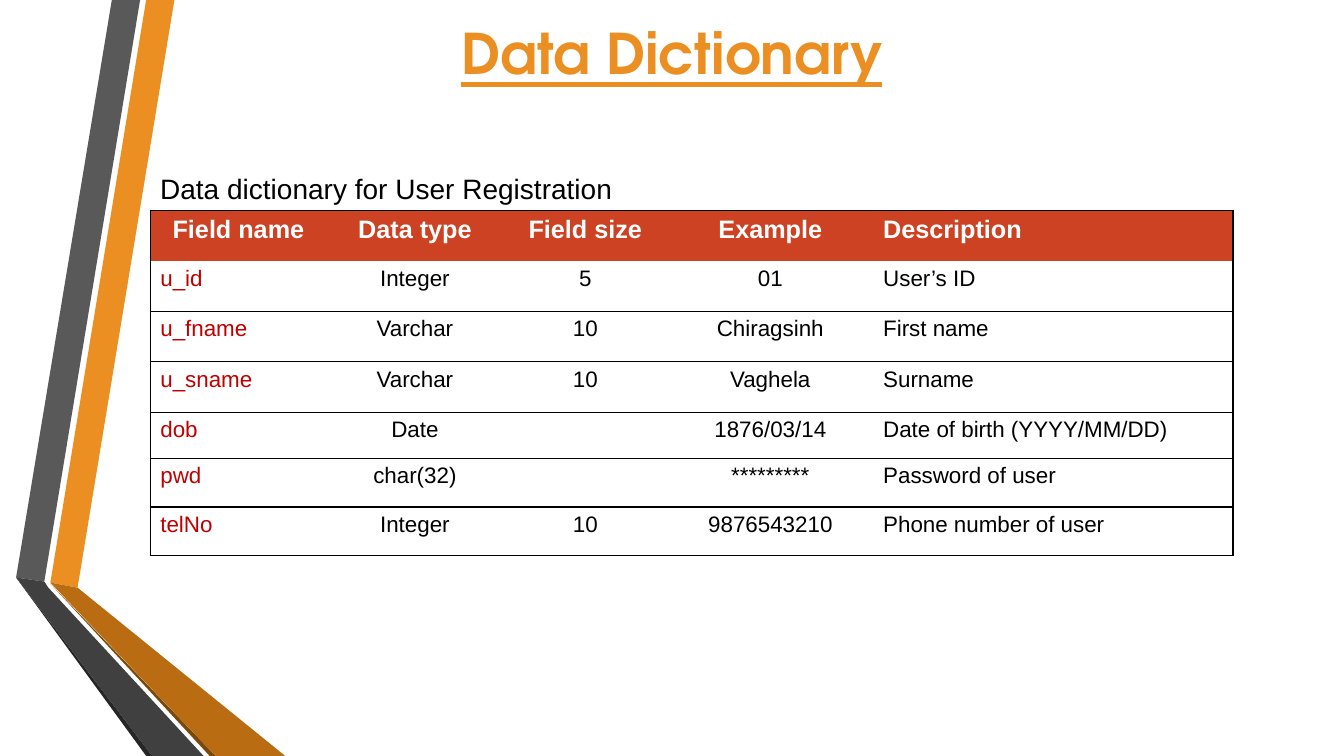
from lxml import etree
from pptx import Presentation
from pptx.dml.color import RGBColor
from pptx.enum.text import MSO_ANCHOR as ANCHOR, PP_ALIGN as ALIGN
from pptx.oxml.ns import qn
from pptx.util import Inches, Pt

ORANGE = RGBColor(0xEB, 0x8F, 0x22)
DARK_ORANGE = RGBColor(0xB9, 0x6C, 0x11)
BROWN = RGBColor(0x7B, 0x48, 0x0B)
GREY = RGBColor(0x59, 0x59, 0x59)
DARK_GREY = RGBColor(0x40, 0x40, 0x40)
CHARCOAL = RGBColor(0x26, 0x26, 0x26)
HEADER_RED = RGBColor(0xCD, 0x42, 0x23)
FIELD_RED = RGBColor(0xC0, 0x00, 0x00)
BLACK = RGBColor(0, 0, 0)
WHITE = RGBColor(0xFF, 0xFF, 0xFF)


def add_text(text, x, y, w, h, font, size, color):
    tf = s.shapes.add_textbox(Inches(x), Inches(y), Inches(w), Inches(h)).text_frame
    tf.word_wrap = True
    p = tf.paragraphs[0]
    p.text = text
    p.font.name, p.font.size, p.font.color.rgb = font, Pt(size), color
    return tf


def add_border(cell, side, visible):
    ln = etree.SubElement(cell._tc.get_or_add_tcPr(), qn("a:ln" + side), w=str(Pt(1)))
    if visible:
        fill = etree.SubElement(ln, qn("a:solidFill"))
        etree.SubElement(fill, qn("a:srgbClr"), val=str(BLACK))
    else:
        etree.SubElement(ln, qn("a:noFill"))


prs = Presentation()
prs.slide_width, prs.slide_height = Inches(13.33), Inches(7.5)
s = prs.slides.add_slide(prs.slide_layouts[6])

# Folded ribbons on the left
ribbons = [
    (ORANGE, [(0.5, 5.78), (0.77, 5.83), (1.73, 0), (1.45, 0)]),
    (GREY, [(1.39, 0), (1.11, 0), (0.16, 5.73), (0.44, 5.77)]),
    (CHARCOAL, [(0.16, 5.73), (1.45, 7.5), (1.51, 7.5)]),
    (BROWN, [(0.5, 5.79), (2.08, 7.5), (2.14, 7.5)]),
    (DARK_ORANGE, [(0.5, 5.78), (2.14, 7.5), (2.83, 7.5), (0.77, 5.83)]),
    (DARK_GREY, [(2.02, 7.5), (0.48, 5.83), (0.44, 5.77), (0.16, 5.73), (1.51, 7.5)]),
]
for color, points in ribbons:
    corners = [(Inches(x), Inches(y)) for x, y in points]
    builder = s.shapes.build_freeform(*corners[0])
    builder.add_line_segments(corners[1:], close=True)
    sp = builder.convert_to_shape()
    sp.shadow.inherit = False
    sp.fill.solid()
    sp.fill.fore_color.rgb = color
    sp.line.fill.background()

# Data dictionary table
rows = [
    ("Field name", "Data type", "Field size", "Example", "Description"),
    ("u_id", "Integer", "5", "01", "User’s ID"),
    ("u_fname", "Varchar", "10", "Chiragsinh", "First name"),
    ("u_sname", "Varchar", "10", "Vaghela", "Surname"),
    ("dob", "Date", "", "1876/03/14", "Date of birth (YYYY/MM/DD)"),
    ("pwd", "char(32)", "", "*********", "Password of user"),
    ("telNo", "Integer", "10", "9876543210", "Phone number of user"),
]
col_widths = [1.75, 1.75, 1.63, 2.04, 3.57]
row_heights = [0.5, 0.5, 0.5, 0.5, 0.46, 0.48, 0.48]
last_col = len(col_widths) - 1
table = s.shapes.add_table(len(rows), len(col_widths), Inches(1.49), Inches(2.09),
                           Inches(10.74), Inches(3.42)).table
table.first_row = table.horz_banding = False
for column, width in zip(table.columns, col_widths):
    column.width = Inches(width)
for r, values in enumerate(rows):
    table.rows[r].height = Inches(row_heights[r])
    header = r == 0
    for c, value in enumerate(values):
        cell = table.cell(r, c)
        add_border(cell, "L", c == 0)
        add_border(cell, "R", c == last_col)
        add_border(cell, "T", r != 1)
        add_border(cell, "B", not header)
        cell.fill.solid()
        cell.fill.fore_color.rgb = HEADER_RED if header else WHITE
        p = cell.text_frame.paragraphs[0]
        p.text = value
        centred = 0 < c < last_col or (header and c == 0)
        p.alignment = ALIGN.CENTER if centred else ALIGN.LEFT
        p.font.name, p.font.size, p.font.bold = "Arial", Pt(18 if header else 16), header
        p.font.color.rgb = WHITE if header else FIELD_RED if c == 0 else BLACK

# Title and table caption
title = add_text("Data Dictionary", 0, 0.13, 13.33, 0.77, "TeX Gyre Adventor", 40, ORANGE)
p = title.paragraphs[0]
p.alignment = ALIGN.CENTER
p.font.bold = p.font.underline = True
caption = add_text("Data dictionary for User Registration", 1.49, 1.65, 11.36, 0.44,
                   "Arial", 20, BLACK)
caption.vertical_anchor = ANCHOR.MIDDLE

prs.save("out.pptx")
